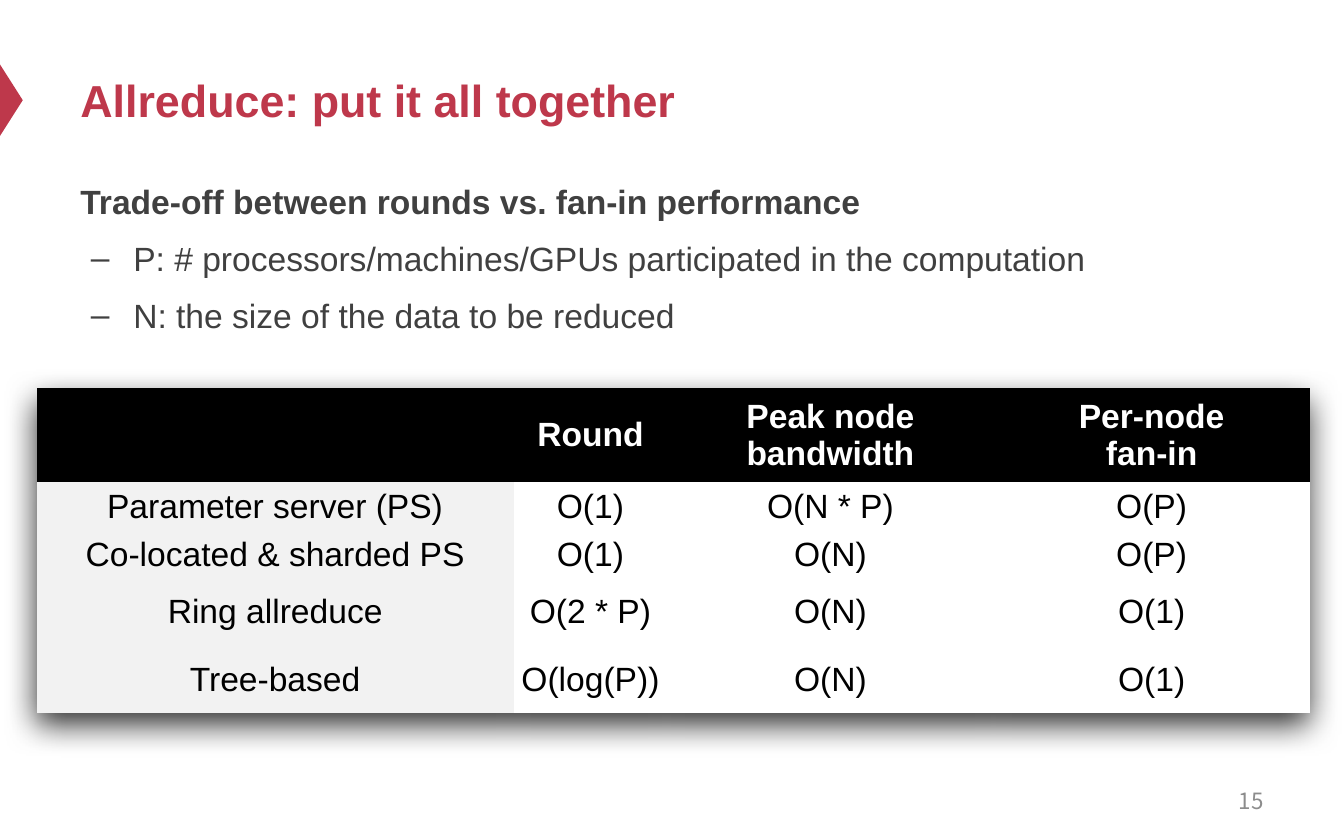
from lxml import etree
from pptx import Presentation
from pptx.dml.color import RGBColor
from pptx.enum.shapes import MSO_SHAPE
from pptx.enum.text import MSO_ANCHOR, PP_ALIGN
from pptx.oxml.ns import qn
from pptx.util import Cm, Pt

TRIANGLE = MSO_SHAPE.ISOSCELES_TRIANGLE
MIDDLE, TOP = MSO_ANCHOR.MIDDLE, MSO_ANCHOR.TOP
LEFT, CENTER, RIGHT = PP_ALIGN.LEFT, PP_ALIGN.CENTER, PP_ALIGN.RIGHT

COLORS = {
    "accent": "BE384B",
    "body": "404040",
    "number": "8C8C8C",
    "black": "000000",
    "white": "FFFFFF",
    "label": "F2F2F2",
}
FONT = "Arial"
NUMBER_FONT = "Noto Sans CJK SC"
NO_GRID_STYLE = "{2D5ABB26-0587-4C30-8999-92F81FD0307C}"

COLUMN_WIDTHS = [9.02, 2.9, 6.17, 5.97]
ROW_HEIGHTS = [1.68, 0.91, 0.91, 1.27, 1.27]
ROWS = [
    ["", "Round", "Peak node bandwidth", "Per-node\nfan-in"],
    ["Parameter server (PS)", "O(1)", "O(N * P)", "O(P)"],
    ["Co-located & sharded PS", "O(1)", "O(N)", "O(P)"],
    ["Ring allreduce", "O(2 * P)", "O(N)", "O(1)"],
    ["Tree-based", "O(log(P))", "O(N)", "O(1)"],
]


def color(name):
    return RGBColor.from_string(COLORS[name])


def write(paragraph, text, *, size=18, font=FONT, ink="black", bold=False,
          align=LEFT, spacing=None, before=0):
    paragraph.text = text
    paragraph.alignment = align
    paragraph.space_before = Pt(before)
    if spacing:
        paragraph.line_spacing = spacing
    paragraph.font.size = Pt(size)
    paragraph.font.name = font
    paragraph.font.bold = bold
    paragraph.font.color.rgb = color(ink)


def add_bullet(paragraph, character):
    properties = paragraph._p.get_or_add_pPr()
    properties.set("marL", str(Cm(1)))
    properties.set("indent", str(-Cm(0.8)))
    bullet_font = etree.SubElement(properties, qn("a:buFont"))
    bullet_font.set("typeface", FONT)
    etree.SubElement(properties, qn("a:buChar")).set("char", character)


def add_text_frame(slide, left, top, width, height, anchor=MIDDLE):
    box = slide.shapes.add_textbox(Cm(left), Cm(top), Cm(width), Cm(height))
    frame = box.text_frame
    frame.word_wrap = True
    frame.vertical_anchor = anchor
    return frame


def add_marker(slide):
    shape = slide.shapes.add_shape(TRIANGLE, Cm(-0.46), Cm(1.68), Cm(1.35), Cm(0.43))
    shape.rotation = 90
    shape.shadow.inherit = False
    shape.fill.solid()
    shape.fill.fore_color.rgb = color("accent")
    shape.line.fill.background()


def add_body(slide):
    frame = add_text_frame(slide, 1.27, 3.15, 22.86, 6, anchor=TOP)
    write(frame.paragraphs[0], "Trade-off between rounds vs. fan-in performance",
          ink="body", bold=True, spacing=1.2)
    for text in ("P: # processors/machines/GPUs participated in the computation",
                 "N: the size of the data to be reduced"):
        paragraph = frame.add_paragraph()
        add_bullet(paragraph, "–")
        write(paragraph, text, ink="body", spacing=1.2, before=4.5)


def add_table_shadow(table):
    effects = etree.Element(qn("a:effectLst"))
    shadow = etree.SubElement(effects, qn("a:outerShdw"), blurRad=str(Cm(0.6)),
                              dist=str(Cm(0.25)), dir="5400000", rotWithShape="0")
    shade = etree.SubElement(shadow, qn("a:srgbClr"), val=COLORS["black"])
    etree.SubElement(shade, qn("a:alpha"), val="80000")
    table._tbl.tblPr.insert(0, effects)


def fill_cell(cell, text, header, label):
    cell.fill.solid()
    cell.fill.fore_color.rgb = color("black" if header else "label" if label else "white")
    cell.vertical_anchor = MIDDLE
    if not header:
        cell.margin_left = cell.margin_right = cell.margin_top = cell.margin_bottom = 0
    frame = cell.text_frame
    for index, line in enumerate(text.split("\n")):
        paragraph = frame.add_paragraph() if index else frame.paragraphs[0]
        write(paragraph, line, ink="white" if header else "black",
              bold=header, align=CENTER)


def add_comparison_table(slide):
    frame = slide.shapes.add_table(len(ROWS), len(COLUMN_WIDTHS), Cm(0.69), Cm(7.34),
                                   Cm(sum(COLUMN_WIDTHS)), Cm(sum(ROW_HEIGHTS)))
    table = frame.table
    table.horz_banding = False
    table._tbl.tblPr.find(qn("a:tableStyleId")).text = NO_GRID_STYLE
    add_table_shadow(table)
    for column, width in zip(table.columns, COLUMN_WIDTHS):
        column.width = Cm(width)
    for row, height in zip(table.rows, ROW_HEIGHTS):
        row.height = Cm(height)
    for row_index, texts in enumerate(ROWS):
        for column_index, text in enumerate(texts):
            fill_cell(table.cell(row_index, column_index), text,
                      header=row_index == 0, label=column_index == 0)


def main():
    presentation = Presentation()
    presentation.slide_width = Cm(25.4)
    presentation.slide_height = Cm(15.88)
    slide = presentation.slides.add_slide(presentation.slide_layouts[6])

    # Heading
    add_marker(slide)
    title = add_text_frame(slide, 1.27, 0.64, 22.86, 2.49)
    write(title.paragraphs[0], "Allreduce: put it all together",
          size=24, ink="accent", bold=True)

    # Content
    add_body(slide)
    add_comparison_table(slide)

    # Slide number
    number = add_text_frame(slide, 18.21, 14.71, 5.92, 0.84)
    write(number.paragraphs[0], "15", size=12, font=NUMBER_FONT,
          ink="number", align=RIGHT)

    presentation.save("out.pptx")


if __name__ == "__main__":
    main()
